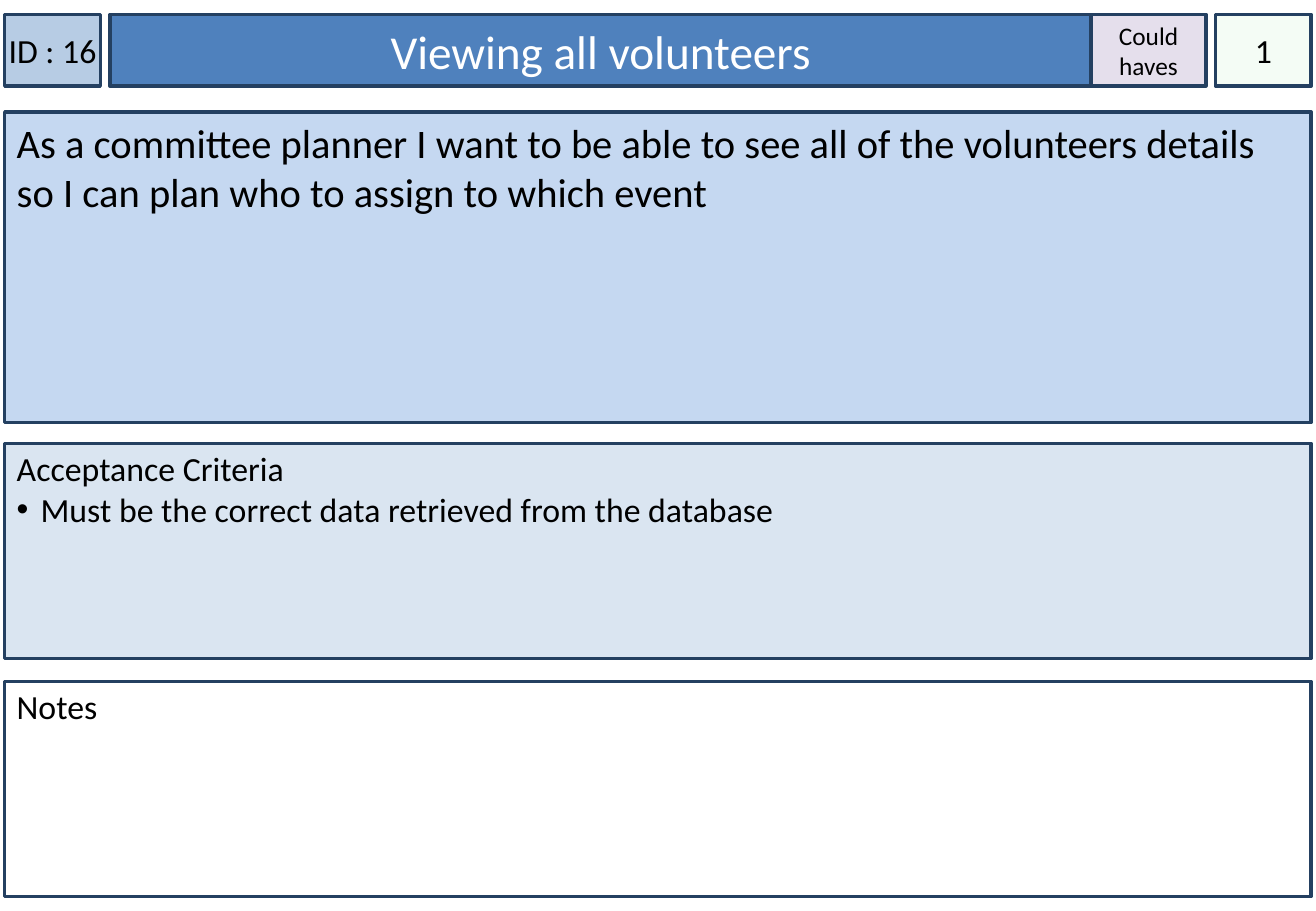
from lxml import etree
from pptx import Presentation
from pptx.dml.color import RGBColor
from pptx.enum.shapes import MSO_SHAPE
from pptx.enum.text import MSO_ANCHOR, MSO_AUTO_SIZE, PP_ALIGN
from pptx.oxml.ns import qn
from pptx.util import Cm, Pt

RECTANGLE = MSO_SHAPE.RECTANGLE
TOP, MIDDLE = MSO_ANCHOR.TOP, MSO_ANCHOR.MIDDLE
LEFT, CENTER = PP_ALIGN.LEFT, PP_ALIGN.CENTER
NO_AUTOFIT = MSO_AUTO_SIZE.NONE
TITLE_ONLY = 5

SLIDE_WIDTH, SLIDE_HEIGHT = 27.51, 19.05
MARGIN = 0.1
PANEL_WIDTH = SLIDE_WIDTH - 2 * MARGIN
HEADER_TOP, HEADER_HEIGHT = 0.3, 1.5
BADGE_WIDTH, PRIORITY_WIDTH = 2, 2.4
HEADER_GAP = 0.2
BULLET_INDENT = 0.5


def color(hex_text):
    """Turn a hex string into a colour."""
    return RGBColor.from_string(hex_text)


def write_text(paragraph, text, *, size, font, ink="000000", align=LEFT):
    """Put formatted text into a paragraph."""
    paragraph.alignment = align
    run = paragraph.add_run()
    run.text = text
    run.font.name = font
    run.font.size = Pt(size)
    run.font.color.rgb = color(ink)


def add_bullet(paragraph):
    """Give a paragraph a round bullet with a hanging indent."""
    properties = paragraph._p.get_or_add_pPr()
    properties.set("marL", str(Cm(BULLET_INDENT)))
    properties.set("indent", str(-Cm(BULLET_INDENT)))
    etree.SubElement(properties, qn("a:buFont"), typeface="Arial")
    etree.SubElement(properties, qn("a:buChar"), char="•")


def set_opacity(shape, percent):
    """Make a solid fill partly transparent."""
    fill_color = shape._element.spPr.find(qn("a:solidFill"))[0]
    etree.SubElement(fill_color, qn("a:alpha"), val=str(percent * 1000))


class StoryCard:
    """Style of the story card and the slide it is built on."""

    font = "Calibri"
    border = "244061"
    border_width = 2

    def __init__(self, presentation):
        """Add a title-only slide for the card."""
        layout = presentation.slide_layouts[TITLE_ONLY]
        self.slide = presentation.slides.add_slide(layout)

    def style_box(self, shape, fill, *, anchor, side=0.25, top=0.13):
        """Set fill, border, insets and anchor of a box."""
        shape.shadow.inherit = False
        shape.fill.solid()
        shape.fill.fore_color.rgb = color(fill)
        shape.line.color.rgb = color(self.border)
        shape.line.width = Pt(self.border_width)
        frame = shape.text_frame
        frame.word_wrap = True
        frame.auto_size = NO_AUTOFIT
        frame.vertical_anchor = anchor
        frame.margin_left = frame.margin_right = Cm(side)
        frame.margin_top, frame.margin_bottom = Cm(top), Cm(0.13)

    def add_box(self, left, top, width, height):
        """Add a plain rectangle, measured in centimetres."""
        return self.slide.shapes.add_shape(
            RECTANGLE, Cm(left), Cm(top), Cm(width), Cm(height))

    def title(self, text, left, width):
        """Place and format the title in the header row."""
        shape = self.slide.shapes.title
        shape.left, shape.top = Cm(left), Cm(HEADER_TOP)
        shape.width, shape.height = Cm(width), Cm(HEADER_HEIGHT)
        self.style_box(shape, "4F81BD", anchor=MIDDLE)
        write_text(shape.text_frame.paragraphs[0], text, size=28,
                   font=self.font, ink="FFFFFF", align=CENTER)

    def badge(self, text, left, width, fill, size=20):
        """Add a small centred box to the header row."""
        shape = self.add_box(left, HEADER_TOP, width, HEADER_HEIGHT)
        self.style_box(shape, fill, anchor=MIDDLE, side=0)
        write_text(shape.text_frame.paragraphs[0], text, size=size,
                   font=self.font, align=CENTER)
        return shape

    def panel(self, text, top, height, fill, size=20, inset=0.1, bullets=()):
        """Add a full-width panel with a lead text and bullets."""
        shape = self.add_box(MARGIN, top, PANEL_WIDTH, height)
        self.style_box(shape, fill, anchor=TOP, top=inset)
        frame = shape.text_frame
        write_text(frame.paragraphs[0], text, size=size, font=self.font)
        for bullet in bullets:
            paragraph = frame.add_paragraph()
            write_text(paragraph, bullet, size=size, font=self.font)
            add_bullet(paragraph)


presentation = Presentation()
presentation.slide_width = Cm(SLIDE_WIDTH)
presentation.slide_height = Cm(SLIDE_HEIGHT)
card = StoryCard(presentation)

title_left = MARGIN + BADGE_WIDTH + HEADER_GAP
estimate_left = SLIDE_WIDTH - MARGIN - BADGE_WIDTH
priority_left = estimate_left - HEADER_GAP - PRIORITY_WIDTH

card.badge("ID : 16", MARGIN, BADGE_WIDTH, "B7CCE4")
card.title("Viewing all volunteers", title_left, priority_left - title_left)
card.panel(
    "As a committee planner I want to be able to see all of the volunteers "
    "details so I can plan who to assign to which event",
    2.34, 6.5, "C5D8F1", size=24, inset=0.13)
card.panel("Acceptance Criteria", 9.27, 4.5, "DAE5F1",
           bullets=["Must be the correct data retrieved from the database"])
estimate = card.badge("1", estimate_left, BADGE_WIDTH, "CCF0CD")
set_opacity(estimate, 20)
card.badge("Could haves", priority_left, PRIORITY_WIDTH, "E5DFEC", size=15)
card.panel("Notes", 14.25, 4.5, "FFFFFF")

presentation.save("out.pptx")
